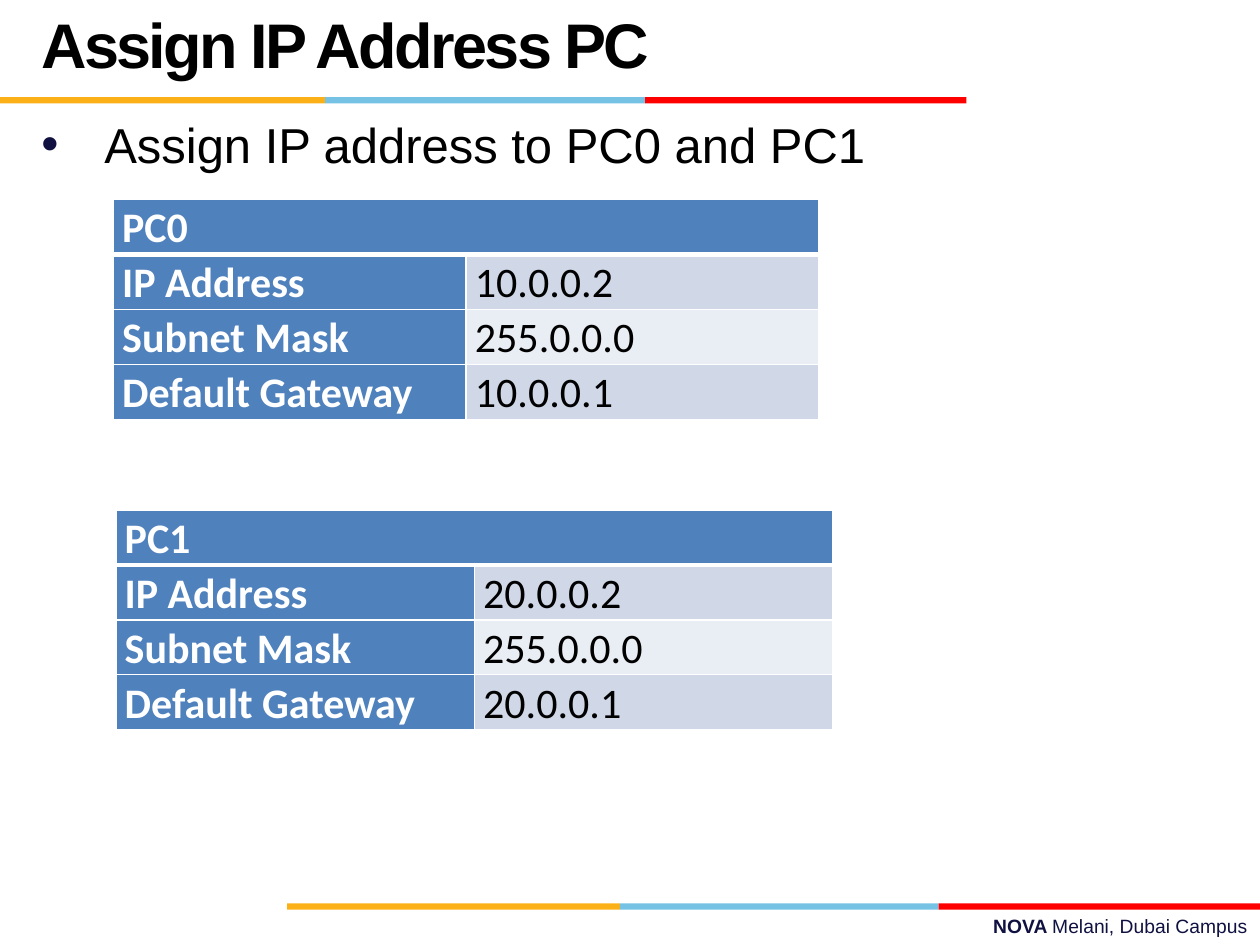
from lxml.etree import SubElement
from pptx import Presentation
from pptx.dml.color import RGBColor
from pptx.enum.shapes import MSO_SHAPE
from pptx.enum.text import MSO_ANCHOR, PP_ALIGN
from pptx.oxml.ns import qn
from pptx.util import Inches, Pt

BLACK = RGBColor(0x00, 0x00, 0x00)
WHITE = RGBColor(0xFF, 0xFF, 0xFF)
NAVY = RGBColor(0x10, 0x11, 0x41)
YELLOW = RGBColor(0xFC, 0xB0, 0x17)
SKY = RGBColor(0x76, 0xC2, 0xE5)
RED = RGBColor(0xFF, 0x00, 0x00)
HEADER_BLUE = RGBColor(0x4F, 0x81, 0xBD)
BANDS = (RGBColor(0xD0, 0xD8, 0xE8), RGBColor(0xE9, 0xED, 0xF4))


def write_text(paragraph, text, size, color=BLACK, font="Arial", bold=False, spacing=None):
    """Append a formatted run to a paragraph."""
    run = paragraph.add_run()
    run.text = text
    run.font.name = font
    run.font.size = Pt(size)
    run.font.bold = bold
    run.font.color.rgb = color
    if spacing is not None:
        run.font._element.set("spc", str(int(spacing * 100)))


def add_text_frame(slide, left, top, width, height, anchor=MSO_ANCHOR.TOP):
    """Add a wrapping text box and return its text frame."""
    box = slide.shapes.add_textbox(Inches(left), Inches(top), Inches(width), Inches(height))
    box.text_frame.word_wrap = True
    box.text_frame.vertical_anchor = anchor
    return box.text_frame


def add_stripe(slide, left, top, widths):
    """Place the yellow, sky and red bars end to end."""
    for color, width in zip((YELLOW, SKY, RED), widths):
        bar = slide.shapes.add_shape(
            MSO_SHAPE.RECTANGLE, Inches(left), Inches(top), Inches(width), Inches(0.05))
        bar.shadow.inherit = False
        bar.fill.solid()
        bar.fill.fore_color.rgb = color
        bar.line.fill.background()
        left += width


def add_title(slide, left, top, width, height, text):
    """Place the slide title."""
    frame = add_text_frame(slide, left, top, width, height, MSO_ANCHOR.MIDDLE)
    paragraph = frame.paragraphs[0]
    paragraph.line_spacing = Pt(36)
    write_text(paragraph, text, 36, bold=True, spacing=-1.5)


def add_bullet(slide, left, top, width, height, text):
    """Place the bulleted body text."""
    paragraph = add_text_frame(slide, left, top, width, height).paragraphs[0]
    paragraph.space_before = Pt(4)
    properties = paragraph._p.get_or_add_pPr()
    properties.set("marL", str(Inches(0.5)))
    properties.set("indent", str(-Inches(0.5)))
    bullet_color = SubElement(properties, qn("a:buClr"))
    SubElement(bullet_color, qn("a:srgbClr"), val=str(NAVY))
    SubElement(properties, qn("a:buFont"), typeface="Arial")
    SubElement(properties, qn("a:buChar"), char="•")
    write_text(paragraph, text, 28)


def add_footer(slide, left, top, width, height):
    """Place the campus name at the right."""
    paragraph = add_text_frame(slide, left, top, width, height).paragraphs[0]
    paragraph.alignment = PP_ALIGN.RIGHT
    write_text(paragraph, "NOVA ", 11, color=NAVY, bold=True)
    write_text(paragraph, "Melani, Dubai Campus", 11, color=NAVY)


def set_borders(cell, bottom):
    """Give a cell white borders with the bottom width in points."""
    properties = cell._tc.get_or_add_tcPr()
    sides = (("a:lnL", 1), ("a:lnR", 1), ("a:lnT", 1), ("a:lnB", bottom))
    for position, (tag, width) in enumerate(sides):
        line = SubElement(properties, qn(tag), w=str(Pt(width)))
        fill = SubElement(line, qn("a:solidFill"))
        SubElement(fill, qn("a:srgbClr"), val=str(WHITE))
        properties.insert(position, line)


def format_cell(cell, text, fill, color=WHITE, bold=True, bottom=1):
    """Fill one table cell and write its text."""
    cell.fill.solid()
    cell.fill.fore_color.rgb = fill
    cell.margin_left = cell.margin_right = Inches(0.07)
    cell.margin_top = cell.margin_bottom = 0
    set_borders(cell, bottom)
    if text:
        paragraph = cell.text_frame.paragraphs[0]
        paragraph.line_spacing = 1.07
        write_text(paragraph, text, 24, color=color, font="Calibri", bold=bold)


def add_address_table(slide, left, top, width, height, name, settings):
    """Place the address table of one computer."""
    table = slide.shapes.add_table(
        len(settings) + 1, 2, Inches(left), Inches(top), Inches(width), Inches(height)).table
    format_cell(table.cell(0, 0), name, HEADER_BLUE, bottom=3)
    format_cell(table.cell(0, 1), "", HEADER_BLUE, bottom=3)
    table.cell(0, 0).merge(table.cell(0, 1))
    for row, (label, value) in enumerate(settings, 1):
        format_cell(table.cell(row, 0), label, HEADER_BLUE)
        format_cell(table.cell(row, 1), value, BANDS[(row - 1) % 2], color=BLACK, bold=False)


def main():
    """Build and save the slide."""
    presentation = Presentation()
    presentation.slide_width = Inches(10)
    presentation.slide_height = Inches(7.5)
    slide = presentation.slides.add_slide(presentation.slide_layouts[6])
    add_footer(slide, 3.58, 7.21, 6.42, 0.29)
    add_stripe(slide, 2.28, 7.17, (2.64, 2.53, 2.55))
    add_stripe(slide, 0, 0.77, (2.58, 2.54, 2.55))
    add_bullet(slide, 0.23, 0.86, 9.6, 6.45, "Assign IP address to PC0 and PC1")
    add_title(slide, 0.23, 0.19, 6.92, 0.4, "Assign IP Address PC")
    computers = (
        ("PC0", (0.9, 1.58, 5.6, 1.75), "10.0.0.2", "10.0.0.1"),
        ("PC1", (0.92, 4.05, 5.69, 1.74), "20.0.0.2", "20.0.0.1"),
    )
    for name, box, address, gateway in computers:
        settings = (
            ("IP Address", address),
            ("Subnet Mask", "255.0.0.0"),
            ("Default Gateway", gateway),
        )
        add_address_table(slide, *box, name, settings)
    presentation.save("out.pptx")


if __name__ == "__main__":
    main()
